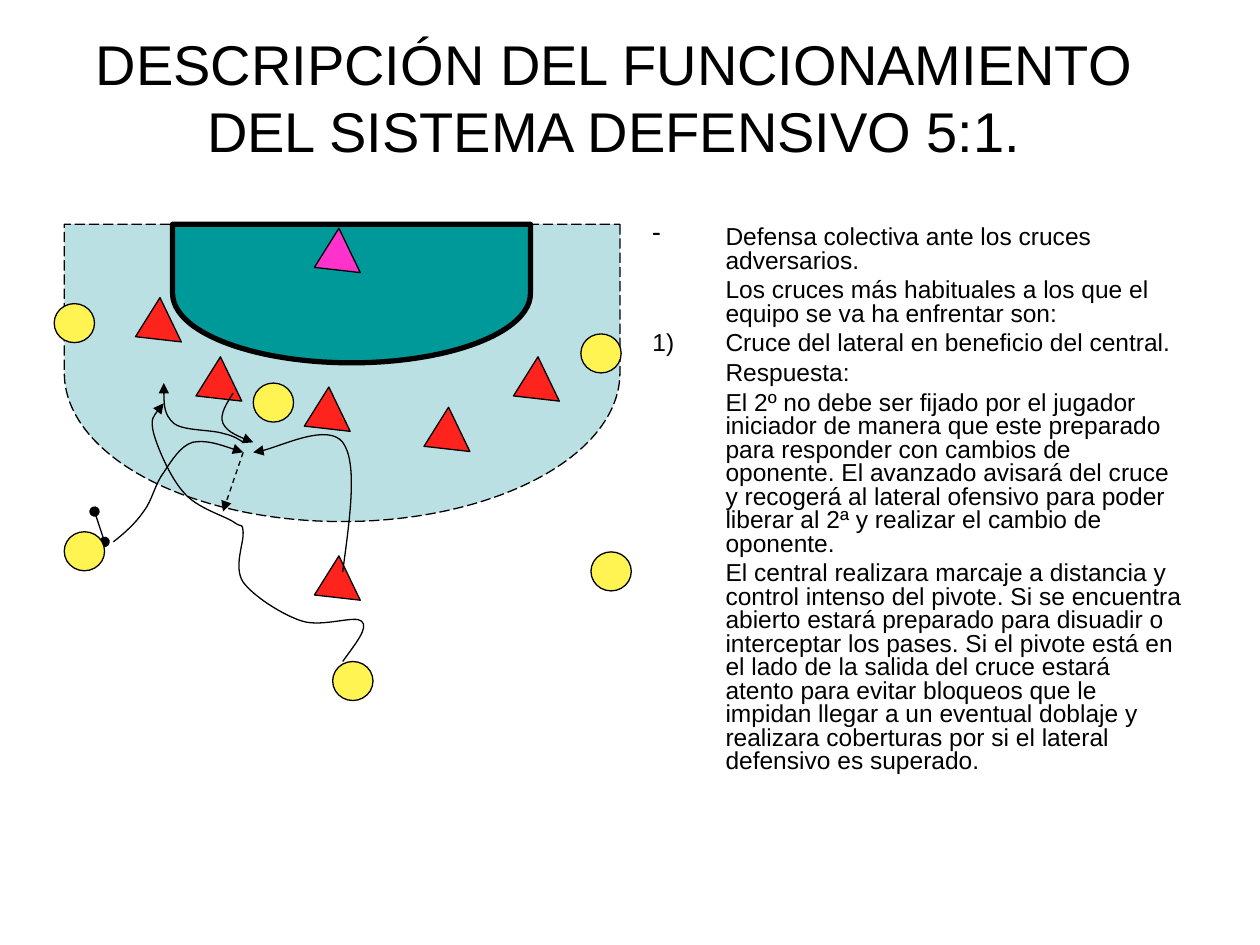
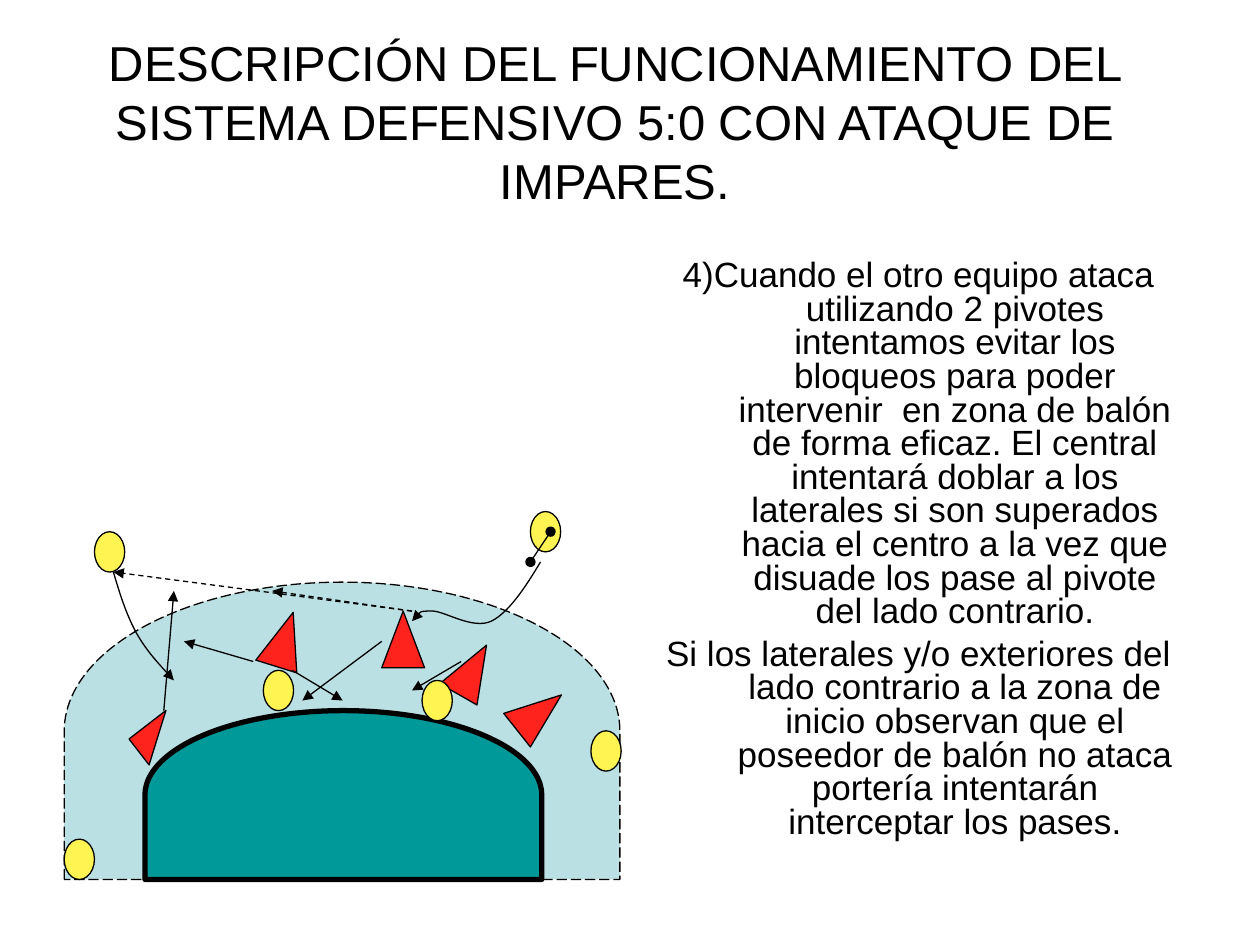
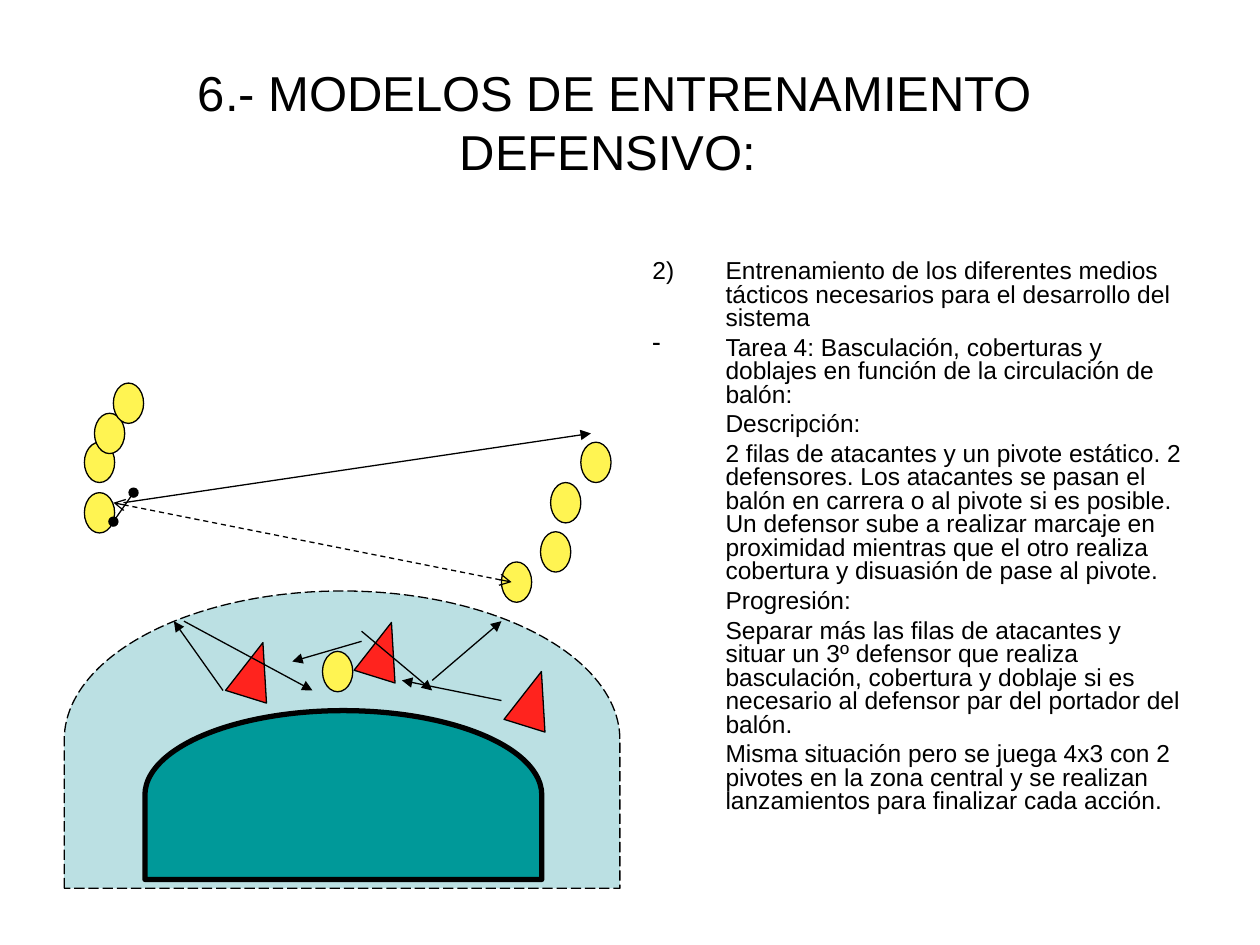
"""Build three handball defence slides with court diagrams."""
from collections import namedtuple

from pptx import Presentation
from pptx.dml.color import RGBColor
from pptx.enum.dml import MSO_LINE
from pptx.enum.shapes import MSO_CONNECTOR, MSO_SHAPE
from pptx.enum.text import MSO_ANCHOR, PP_ALIGN
from pptx.oxml.ns import qn
from pptx.oxml.xmlchemy import OxmlElement
from pptx.util import Inches, Pt

Box = namedtuple("Box", "left top width height")

COLORS = {
    "ink": "000000",
    "outer_zone": "BBE0E3",
    "goal_area": "009999",
    "defender": "FF231E",
    "goalkeeper": "FF33CC",
    "attacker": "FFF452",
}
FONT = "Arial"
THIN, THICK = 0.75, 3
HANGING = 0.58
DASH, LONG_DASH = MSO_LINE.DASH, MSO_LINE.LONG_DASH
DELAY, TRIANGLE, OVAL = (
    MSO_SHAPE.FLOWCHART_DELAY, MSO_SHAPE.ISOSCELES_TRIANGLE, MSO_SHAPE.OVAL)
STRAIGHT = MSO_CONNECTOR.STRAIGHT
MIDDLE, TOP = MSO_ANCHOR.MIDDLE, MSO_ANCHOR.TOP
CENTER, LEFT = PP_ALIGN.CENTER, PP_ALIGN.LEFT

TALL_TITLE = Box(0.51, 0.3, 8.74, 1.32)
LOW_BODY = Box(5.08, 2.02, 4.42, 4.96)
OUTER_SIZE = (4.41, 2.36)
WIDE_GOAL = (0.65, 3.15, 1.34)
ROUND_PLAYER, OVAL_PLAYER = (0.32, 0.31), (0.24, 0.32)
SMALL_DEFENDER, LARGE_DEFENDER = (0.39, 0.31), (0.34, 0.45)


def rgb(name):
    """Return the palette colour called name."""
    return RGBColor.from_string(COLORS[name])


def add_element(parent, tag, **attributes):
    """Append an XML element with attributes to parent."""
    element = OxmlElement(tag)
    for key, value in attributes.items():
        element.set(key, value)
    parent.append(element)


def text_frame_in(slide, box, anchor):
    """Add a wrapping text box and return its frame."""
    frame = slide.shapes.add_textbox(*map(Inches, box)).text_frame
    frame.word_wrap = True
    frame.vertical_anchor = anchor
    return frame


def style_paragraph(paragraph, size, align):
    """Apply the shared font to a paragraph."""
    paragraph.alignment = align
    for run in paragraph.runs:
        run.font.name = FONT
        run.font.size = Pt(size)
        run.font.color.rgb = rgb("ink")


def add_title(slide, box, text, size):
    """Write the centred slide title."""
    frame = text_frame_in(slide, box, MIDDLE)
    frame.text = text
    style_paragraph(frame.paragraphs[0], size, CENTER)


def add_body(slide, box, items, size, align=LEFT):
    """Write hanging paragraphs from (marker, text) pairs."""
    frame = text_frame_in(slide, box, TOP)
    for index, (marker, text) in enumerate(items):
        paragraph = frame.add_paragraph() if index else frame.paragraphs[0]
        paragraph.text = text
        paragraph.line_spacing = 0.8
        if index:
            paragraph.space_before = Pt(size / 4)
        properties = paragraph._p.get_or_add_pPr()
        properties.set("marL", str(Inches(HANGING)))
        properties.set("indent", str(-Inches(HANGING)))
        if marker == "1)":
            add_element(properties, "a:buAutoNum", type="arabicParenR")
        elif marker:
            add_element(properties, "a:buChar", char=marker)
        else:
            add_element(properties, "a:buNone")
        style_paragraph(paragraph, size, align)


def add_figure(slide, box, kind, spot, size, color, angle=0, weight=THIN):
    """Add an outlined shape at a spot measured from the box corner."""
    figure = slide.shapes.add_shape(
        kind, Inches(box.left + spot[0]), Inches(box.top + spot[1]), *map(Inches, size))
    figure.shadow.inherit = False
    figure.rotation = angle
    figure.fill.solid()
    figure.fill.fore_color.rgb = rgb(color)
    figure.line.color.rgb = rgb("ink")
    figure.line.width = Pt(weight)
    return figure


def add_area(slide, box, spot, size, color, angle, weight=THIN):
    """Add a rounded court area, given by its visible extent."""
    width, height = size
    shift = (width - height) / 2
    return add_figure(slide, box, DELAY, (spot[0] + shift, spot[1] - shift),
                      (height, width), color, angle, weight)


def add_court(slide, box, angle, outer_top, goal_spot, goal_size):
    """Draw the dashed outer zone and the goal area."""
    outer = add_area(slide, box, (0.01, outer_top), OUTER_SIZE, "outer_zone", angle)
    outer.line.dash_style = LONG_DASH
    add_area(slide, box, goal_spot, goal_size, "goal_area", angle, THICK)


def add_defenders(slide, box, size, spots, color="defender"):
    """Draw triangles at (x, y, angle) spots."""
    for x, y, angle in spots:
        add_figure(slide, box, TRIANGLE, (x, y), size, color, angle)


def add_attackers(slide, box, size, spots):
    """Draw attackers at (x, y) spots."""
    for spot in spots:
        add_figure(slide, box, OVAL, spot, size, "attacker")


def style_line(line, dash, head, tail):
    """Apply ink, weight, dash and ends to a line."""
    line.color.rgb = rgb("ink")
    line.width = Pt(THIN)
    if dash:
        line.dash_style = dash
    for tag, end in (("a:headEnd", head), ("a:tailEnd", tail)):
        if end:
            add_element(line._get_or_add_ln(), tag, type=end)


def add_moves(slide, box, moves, dash=None, head=None, tail="triangle"):
    """Draw straight moves given as (x1, y1, x2, y2)."""
    for x1, y1, x2, y2 in moves:
        move = slide.shapes.add_connector(
            STRAIGHT, Inches(box.left + x1), Inches(box.top + y1),
            Inches(box.left + x2), Inches(box.top + y2))
        style_line(move.line, dash, head, tail)
        add_element(move._element.spPr, "a:effectLst")


def add_ball(slide, box, move):
    """Draw the ball marker, a short line with round ends."""
    add_moves(slide, box, [move], head="oval", tail="oval")


def add_runs(slide, box, runs):
    """Draw curved runs, each a start followed by Bezier point triples."""
    for points in runs:
        spots = [(Inches(box.left + x), Inches(box.top + y)) for x, y in points]
        builder = slide.shapes.build_freeform(*spots[0])
        builder.add_line_segments(spots[1:], close=False)
        route = builder.convert_to_shape()
        route.shadow.inherit = False
        route.fill.background()
        style_line(route.line, None, None, "triangle")
        steps = list(route._element.iter(qn("a:lnTo")))
        for first in range(0, len(steps), 3):
            curve = OxmlElement("a:cubicBezTo")
            steps[first].addprevious(curve)
            for step in steps[first:first + 3]:
                curve.append(step[0])
                step.getparent().remove(step)


def add_crossing_diagram(slide, box):
    """Draw the 5:1 defence against a crossing."""
    add_court(slide, box, 90, 0.28, (0.87, 0.28), (2.84, 1.1))
    tilt = 244.3
    add_defenders(slide, box, SMALL_DEFENDER, [
        (x, y, tilt) for x, y in (
            (0.52, 0.95), (1, 1.42), (1.86, 1.66), (1.94, 3), (2.81, 1.82), (3.52, 1.42))])
    add_defenders(slide, box, SMALL_DEFENDER, [(1.94, 0.4, tilt)], "goalkeeper")
    add_ball(slide, box, (0.25, 2.56, 0.33, 2.8))
    add_attackers(slide, box, ROUND_PLAYER, [
        (-0.07, 0.91), (0.01, 2.72), (1.51, 1.54), (4.11, 1.15), (4.19, 2.88), (2.14, 3.75)])
    add_runs(slide, box, [
        [(0.4, 2.8), (0.49, 2.73), (0.57, 2.66), (0.64, 2.56),
         (0.71, 2.47), (0.73, 2.34), (0.8, 2.25),
         (0.86, 2.16), (0.93, 2.04), (1.03, 2.01), (1.14, 1.99), (1.28, 2.04), (1.43, 2.09)],
        [(2.22, 3.75), (2.32, 3.61), (2.43, 3.48), (2.37, 3.43),
         (2.32, 3.38), (2.06, 3.48), (1.9, 3.43), (1.74, 3.38), (1.51, 3.23), (1.43, 3.12),
         (1.35, 3), (1.44, 2.8), (1.43, 2.72), (1.42, 2.64), (1.43, 2.7), (1.35, 2.64),
         (1.27, 2.59), (1.06, 2.53), (0.96, 2.41), (0.85, 2.29), (0.75, 2.05), (0.72, 1.94),
         (0.69, 1.82), (0.75, 1.76), (0.8, 1.7)],
        [(1.35, 1.62), (1.3, 1.7), (1.24, 1.79), (1.27, 1.86),
         (1.3, 1.92), (1.4, 1.97), (1.51, 2.01)],
        [(1.43, 2.01), (1.4, 1.99), (1.36, 1.96), (1.27, 1.94),
         (1.18, 1.91), (0.95, 1.92), (0.88, 1.86), (0.8, 1.79), (0.8, 1.66), (0.8, 1.54)],
        [(2.22, 3.04), (2.28, 2.6), (2.34, 2.17), (2.22, 2.01),
         (2.1, 1.86), (1.63, 2.09), (1.51, 2.09)],
    ])
    add_moves(slide, box, [(1.43, 2.09, 1.27, 2.56)], DASH)


def add_two_pivots_diagram(slide, box):
    """Draw the 5:0 defence against two pivots."""
    add_court(slide, box, 270, 0.62, (WIDE_GOAL[0], 1.64), WIDE_GOAL[1:])
    add_defenders(slide, box, LARGE_DEFENDER, [
        (3.08, 1.09, 29.8), (3.61, 1.43, 51.5), (2.53, 0.85, 0), (1.59, 0.85, 17.3)])
    exterior = add_figure(slide, box, TRIANGLE, (0.62, 1.67), (0.26, 0.37), "defender", 52.3)
    exterior.adjustments[0] = 0
    add_attackers(slide, box, OVAL_PLAYER, [
        (1.59, 1.32), (4.19, 1.8), (3.71, 0.06), (2.85, 1.4), (0.01, 2.66), (0.25, 0.22)])
    add_ball(slide, box, (3.71, 0.46, 3.87, 0.22))
    add_runs(slide, box, [
        [(3.79, 0.46), (3.67, 0.66), (3.54, 0.86), (3.4, 0.93),
         (3.25, 1), (3.03, 0.85), (2.93, 0.85), (2.82, 0.85), (2.79, 0.89), (2.77, 0.93)],
        [(0.4, 0.54), (0.45, 0.71), (0.5, 0.87), (0.58, 1.02),
         (0.66, 1.16), (0.77, 1.28), (0.88, 1.4)],
    ])
    add_moves(slide, box, [(2.77, 0.85, 1.66, 0.69), (2.77, 0.85, 0.4, 0.54)], DASH)
    add_moves(slide, box, [
        (0.8, 1.64, 0.88, 0.69), (3.16, 1.25, 2.77, 1.48), (1.82, 1.32, 2.22, 1.56),
        (1.51, 1.25, 0.96, 1.09), (2.53, 1.09, 1.9, 1.56)])


def add_training_diagram(slide, box):
    """Draw the training task with two rows of attackers."""
    add_court(slide, box, 270, 1.69, (WIDE_GOAL[0], 2.64), WIDE_GOAL[1:])
    add_defenders(slide, box, LARGE_DEFENDER, [
        (x, y, 17.3) for x, y in ((2.37, 1.93), (3.56, 2.32), (1.35, 2.09))])
    add_attackers(slide, box, OVAL_PLAYER, [
        (0.17, 0.51), (2.06, 2.17), (3.48, 1.46), (0.17, 0.91), (4.11, 0.51),
        (3.79, 1.22), (3.87, 0.83), (0.25, 0.28), (0.4, 0.04)])
    add_ball(slide, box, (0.4, 1.14, 0.56, 0.91))
    add_moves(slide, box, [(3.56, 1.62, 0.4, 0.99)], DASH, "arrow", "arrow")
    add_moves(slide, box, [
        (0.48, 0.99, 4.19, 0.44), (1.27, 2.48, 0.88, 1.93), (2.37, 2.09, 1.82, 2.25),
        (3.48, 2.56, 2.69, 2.4), (0.96, 1.93, 1.98, 2.48), (2.37, 2.01, 2.93, 2.48),
        (2.93, 2.4, 3.48, 1.93)])


def build_crossing_slide(slide):
    """Build the slide on defending crossings."""
    add_title(slide, Box(0.5, 0.3, 8.75, 0.93),
              "DESCRIPCIÓN DEL FUNCIONAMIENTO DEL SISTEMA DEFENSIVO 5:1.", 32)
    add_body(slide, Box(5.08, 1.75, 4.42, 4.95), [
        ("-", "Defensa colectiva ante los cruces adversarios."),
        ("", "\tLos cruces más habituales a los que el equipo se va ha enfrentar son:"),
        ("1)", "Cruce del lateral en beneficio del central."),
        ("", "\tRespuesta:"),
        ("", "\tEl 2º no debe ser fijado por el jugador iniciador de manera que este preparado "
             "para responder con cambios de oponente. El avanzado avisará del cruce y recogerá "
             "al lateral ofensivo para poder liberar al 2ª y realizar el cambio de oponente."),
        ("", "\tEl central realizara marcaje a distancia y control intenso del pivote. Si se "
             "encuentra abierto estará preparado para disuadir o interceptar los pases. Si el "
             "pivote está en el lado de la salida del cruce estará atento para evitar bloqueos "
             "que le impidan llegar a un eventual doblaje y realizara coberturas por si el "
             "lateral defensivo es superado."),
    ], 14)
    add_crossing_diagram(slide, Box(0.5, 1.5, 4.5, 4.1))


def build_two_pivots_slide(slide):
    """Build the slide on defending two pivots."""
    add_title(slide, TALL_TITLE, "DESCRIPCIÓN DEL FUNCIONAMIENTO DEL SISTEMA DEFENSIVO 5:0 "
                                 "CON ATAQUE DE IMPARES.", 28)
    add_body(slide, LOW_BODY, [
        ("", "4)Cuando el otro equipo ataca utilizando 2 pivotes intentamos evitar los bloqueos "
             "para poder intervenir  en zona de balón de forma eficaz. El central intentará "
             "doblar a los laterales si son superados hacia el centro a la vez que disuade los "
             "pase al pivote del lado contrario."),
        ("", "Si los laterales y/o exteriores del lado contrario a la zona de inicio observan "
             "que el poseedor de balón no ataca portería intentarán interceptar los pases."),
    ], 20, CENTER)
    add_two_pivots_diagram(slide, Box(0.5, 4, 4.5, 3))


def build_training_slide(slide):
    """Build the slide on defensive training."""
    add_title(slide, TALL_TITLE, "6.- MODELOS DE ENTRENAMIENTO DEFENSIVO: ", 28)
    add_body(slide, LOW_BODY, [
        ("", "2) \tEntrenamiento de los diferentes medios tácticos necesarios para el "
             "desarrollo del sistema"),
        ("-", "Tarea 4: Basculación, coberturas y doblajes en función de la circulación de "
              "balón:"),
        ("", "\tDescripción:"),
        ("", "\t2 filas de atacantes y un pivote estático. 2 defensores. Los atacantes se pasan "
             "el balón en carrera o al pivote si es posible. Un defensor sube a realizar marcaje "
             "en proximidad mientras que el otro realiza cobertura y disuasión de pase al "
             "pivote."),
        ("", "\tProgresión:"),
        ("", "\tSeparar más las filas de atacantes y situar un 3º defensor que realiza "
             "basculación, cobertura y doblaje si es necesario al defensor par del portador del "
             "balón."),
        ("", "\tMisma situación pero se juega 4x3 con 2 pivotes en la zona central y se "
             "realizan lanzamientos para finalizar cada acción."),
    ], 14)
    add_training_diagram(slide, Box(0.5, 3, 4.5, 4.1))


def main():
    """Build and save the presentation."""
    prs = Presentation()
    prs.slide_width, prs.slide_height = Inches(10), Inches(7.5)
    blank = prs.slide_layouts[6]
    for build in (build_crossing_slide, build_two_pivots_slide, build_training_slide):
        build(prs.slides.add_slide(blank))
    prs.save("out.pptx")


if __name__ == "__main__":
    main()
